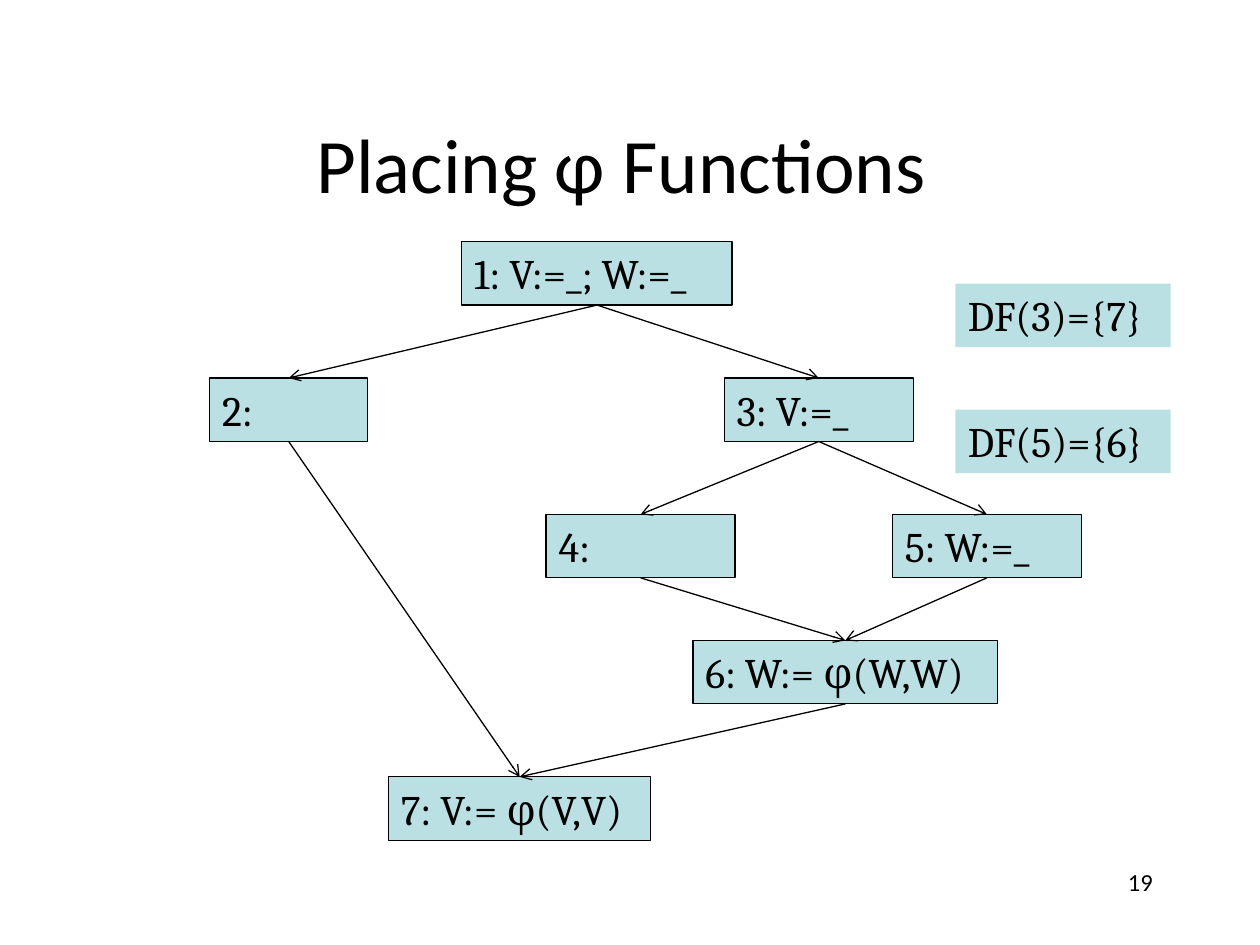
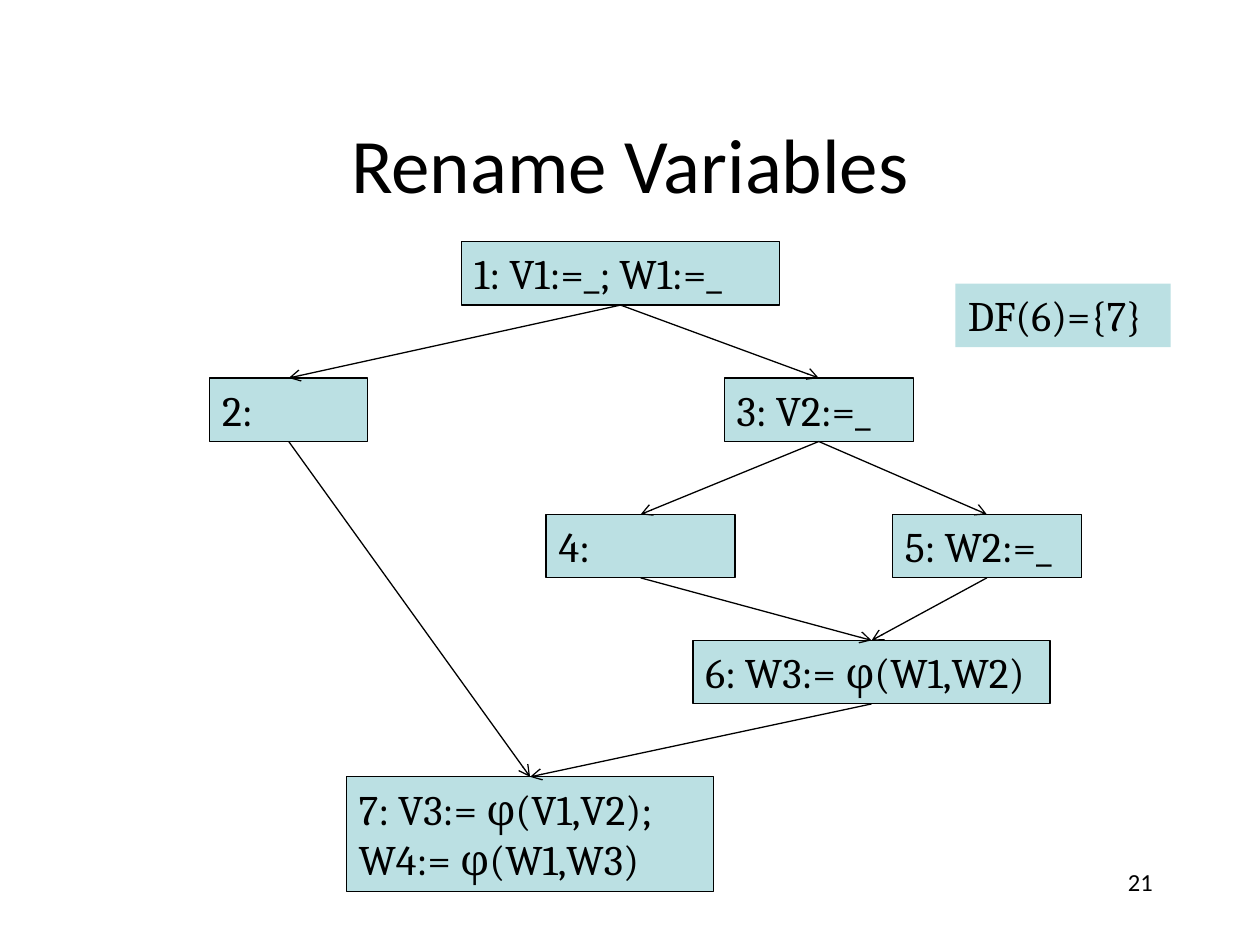
"""Build two control-flow graph slides on placing phi functions and renaming variables."""
from dataclasses import dataclass

import lxml.etree
import pptx
import pptx.dml.color
import pptx.enum.shapes
import pptx.enum.text
import pptx.oxml.ns
import pptx.shapes.autoshape
import pptx.slide
import pptx.util
from pptx.util import Cm

COLOURS = {"ink": "000000", "box": "BBE0E3"}
HEADING_FONT = "Calibri"
CODE_FONT = "Cambria"
LINE_WIDTH = pptx.util.Pt(0.75)
BOX_HEIGHT = 1.28
ROW_TOPS = (4.87, 7.62, 10.37, 12.91, 15.66)
FRONTIER_LEFT, FRONTIER_TOP, FRONTIER_STEP, FRONTIER_WIDTH = 19.26, 5.72, 2.54, 4.34
EDGES = ((1, 2), (1, 3), (3, 4), (3, 5), (4, 6), (5, 6), (2, 7), (6, 7))
TOP_SITE, BOTTOM_SITE = 0, 2


@dataclass(frozen=True)
class Block:
    number: int
    code: str
    row: int
    left: float
    width: float
    height: float = BOX_HEIGHT


@dataclass(frozen=True)
class GraphSlide:
    title: str
    page: int
    blocks: tuple[Block, ...]
    frontiers: tuple[str, ...]


EMPTY_BLOCKS = (Block(2, "", 1, 4.23, 3.18), Block(4, "", 2, 11.01, 3.81))

GRAPH_SLIDES = (
    GraphSlide(
        "Placing φ Functions ",
        19,
        EMPTY_BLOCKS
        + (
            Block(1, "V:=_; W:=_", 0, 9.31, 5.45),
            Block(3, "V:=_", 1, 14.6, 3.81),
            Block(5, "W:=_", 2, 17.99, 3.81),
            Block(6, "W:= φ(W,W)", 3, 13.97, 6.14),
            Block(7, "V:= φ(V,V)", 4, 7.83, 5.29),
        ),
        ("DF(3)={7}", "DF(5)={6}"),
    ),
    GraphSlide(
        "Rename Variables",
        21,
        EMPTY_BLOCKS
        + (
            Block(1, "V1:=_; W1:=_", 0, 9.31, 6.4),
            Block(3, "V2:=_", 1, 14.6, 3.81),
            Block(5, "W2:=_", 2, 17.99, 3.81),
            Block(6, "W3:= φ(W1,W2)", 3, 13.97, 7.2),
            Block(7, "V3:= φ(V1,V2); W4:= φ(W1,W3)", 4, 6.98, 7.41, 2.32),
        ),
        ("DF(6)={7}",),
    ),
)


def colour(name: str) -> pptx.dml.color.RGBColor:
    return pptx.dml.color.RGBColor.from_string(COLOURS[name])


def set_text(
    shape: pptx.shapes.autoshape.Shape,
    text: str,
    font_name: str,
    size: int,
    alignment: pptx.enum.text.PP_ALIGN = pptx.enum.text.PP_ALIGN.LEFT,
    anchor: pptx.enum.text.MSO_ANCHOR = pptx.enum.text.MSO_ANCHOR.TOP,
) -> None:
    frame = shape.text_frame
    frame.word_wrap = True
    frame.vertical_anchor = anchor
    paragraph = frame.paragraphs[0]
    paragraph.text = text
    paragraph.alignment = alignment
    paragraph.font.name = font_name
    paragraph.font.size = pptx.util.Pt(size)
    paragraph.font.color.rgb = colour("ink")


def add_box(
    slide: pptx.slide.Slide,
    text: str,
    left: float,
    top: float,
    width: float,
    height: float = BOX_HEIGHT,
    outlined: bool = True,
) -> pptx.shapes.autoshape.Shape:
    shape = slide.shapes.add_shape(
        pptx.enum.shapes.MSO_SHAPE.RECTANGLE, Cm(left), Cm(top), Cm(width), Cm(height)
    )
    shape.shadow.inherit = False
    shape.fill.solid()
    shape.fill.fore_color.rgb = colour("box")
    if outlined:
        shape.line.color.rgb = colour("ink")
        shape.line.width = LINE_WIDTH
    else:
        shape.line.fill.background()
    set_text(shape, text, CODE_FONT, 24)
    return shape


def add_edge(
    slide: pptx.slide.Slide,
    source: pptx.shapes.autoshape.Shape,
    target: pptx.shapes.autoshape.Shape,
) -> None:
    connector = slide.shapes.add_connector(
        pptx.enum.shapes.MSO_CONNECTOR.STRAIGHT, 0, 0, 0, 0
    )
    connector.begin_connect(source, BOTTOM_SITE)
    connector.end_connect(target, TOP_SITE)
    connector.line.color.rgb = colour("ink")
    connector.line.width = LINE_WIDTH
    qualify = pptx.oxml.ns.qn
    line = connector.line._get_or_add_ln()
    lxml.etree.SubElement(line, qualify("a:tailEnd"), type="arrow")
    lxml.etree.SubElement(connector._element.spPr, qualify("a:effectLst"))


def add_heading_and_page(slide: pptx.slide.Slide, title: str, page: int) -> None:
    heading = slide.shapes.add_textbox(Cm(1.91), Cm(1.69), Cm(21.59), Cm(3.18))
    set_text(
        heading,
        title,
        HEADING_FONT,
        44,
        pptx.enum.text.PP_ALIGN.CENTER,
        pptx.enum.text.MSO_ANCHOR.MIDDLE,
    )
    page_number = slide.shapes.add_textbox(Cm(18.2), Cm(17.36), Cm(5.29), Cm(1.27))
    set_text(page_number, str(page), HEADING_FONT, 14, pptx.enum.text.PP_ALIGN.RIGHT)


def build_slide(slide: pptx.slide.Slide, graph: GraphSlide) -> None:
    add_heading_and_page(slide, graph.title, graph.page)
    boxes = {
        block.number: add_box(
            slide,
            f"{block.number}: {block.code}".rstrip(),
            block.left,
            ROW_TOPS[block.row],
            block.width,
            block.height,
        )
        for block in sorted(graph.blocks, key=lambda block: block.number)
    }
    for source, target in EDGES:
        add_edge(slide, boxes[source], boxes[target])
    for index, frontier in enumerate(graph.frontiers):
        top = FRONTIER_TOP + index * FRONTIER_STEP
        add_box(slide, frontier, FRONTIER_LEFT, top, FRONTIER_WIDTH, outlined=False)


def main() -> None:
    presentation = pptx.Presentation()
    presentation.slide_width = Cm(25.4)
    presentation.slide_height = Cm(19.05)
    blank_layout = presentation.slide_layouts[6]
    for graph in GRAPH_SLIDES:
        build_slide(presentation.slides.add_slide(blank_layout), graph)
    presentation.save("out.pptx")


if __name__ == "__main__":
    main()
